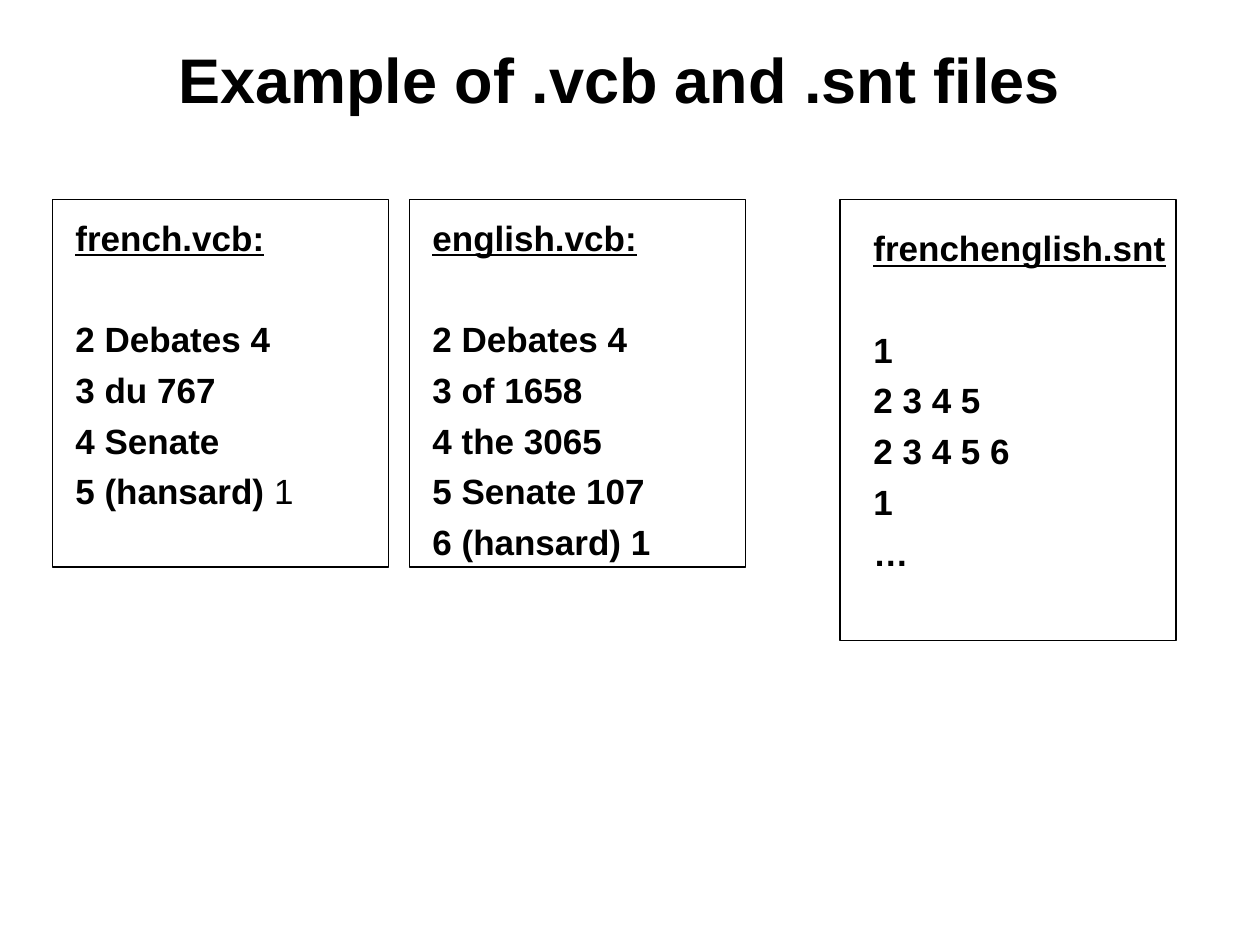
from pptx import Presentation
from pptx.dml.color import RGBColor
from pptx.enum.shapes import MSO_SHAPE
from pptx.enum.text import MSO_ANCHOR, PP_ALIGN
from pptx.util import Inches, Pt

COLORS = {"ink": "000000"}
FONT = "Arial"
UNIT = 1 / 12  # grid step in inches
LINE_GAP, HEADING_GAP = 5, 34  # points before a row, and before the first row

# Frame box and text box (left, top, width, height in grid units), then the lines
FILES = [
    ((5, 19, 32, 35), (6, 20, 33, 34), "french.vcb:",
     ["2 Debates 4", "3 du 767", "4 Senate", ("5 (hansard)", " 1")]),
    ((39, 19, 32, 35), (40, 20, 33, 48.7), "english.vcb:",
     ["2 Debates 4", "3 of 1658", "4 the 3065", "5 Senate 107", "6 (hansard) 1"]),
    ((80, 19, 32, 42), (82, 21, 31, 41), "frenchenglish.snt",
     ["1", "2 3 4 5", "2 3 4 5 6", "1", "…"]),
]


def grid(box):
    return [Inches(value * UNIT) for value in box]


def add_run(paragraph, text, size=20, bold=True, underline=False, color="ink"):
    run = paragraph.add_run()
    run.text = text
    run.font.name = FONT
    run.font.size = Pt(size)
    run.font.bold = bold
    run.font.underline = underline
    run.font.color.rgb = RGBColor.from_string(COLORS[color])


def add_text_frame(slide, box, anchor=MSO_ANCHOR.TOP):
    frame = slide.shapes.add_textbox(*grid(box)).text_frame
    frame.word_wrap = True
    frame.vertical_anchor = anchor
    return frame


def add_title(slide, box, text):
    paragraph = add_text_frame(slide, box, MSO_ANCHOR.MIDDLE).paragraphs[0]
    paragraph.alignment = PP_ALIGN.CENTER
    add_run(paragraph, text, size=36)


def add_file_text(slide, box, heading, rows):
    frame = add_text_frame(slide, box)
    add_run(frame.paragraphs[0], heading, underline=True)
    for index, row in enumerate(rows):
        paragraph = frame.add_paragraph()
        paragraph.space_before = Pt(LINE_GAP if index else HEADING_GAP)
        bold_part, plain_part = row if isinstance(row, tuple) else (row, "")
        add_run(paragraph, bold_part)
        if plain_part:
            add_run(paragraph, plain_part, bold=False)


def add_frame(slide, box):
    shape = slide.shapes.add_shape(MSO_SHAPE.RECTANGLE, *grid(box))
    shape.shadow.inherit = False
    shape.fill.background()
    shape.line.color.rgb = RGBColor.from_string(COLORS["ink"])
    shape.line.width = Pt(0.75)


def main():
    presentation = Presentation()
    presentation.slide_width, presentation.slide_height = Inches(10), Inches(7.5)
    slide = presentation.slides.add_slide(presentation.slide_layouts[6])

    # Title
    add_title(slide, (5, 0, 108, 15), "Example of .vcb and .snt files")

    # File listings, each with its outline
    for frame_box, text_box, heading, rows in FILES:
        add_file_text(slide, text_box, heading, rows)
        add_frame(slide, frame_box)

    presentation.save("out.pptx")


if __name__ == "__main__":
    main()
